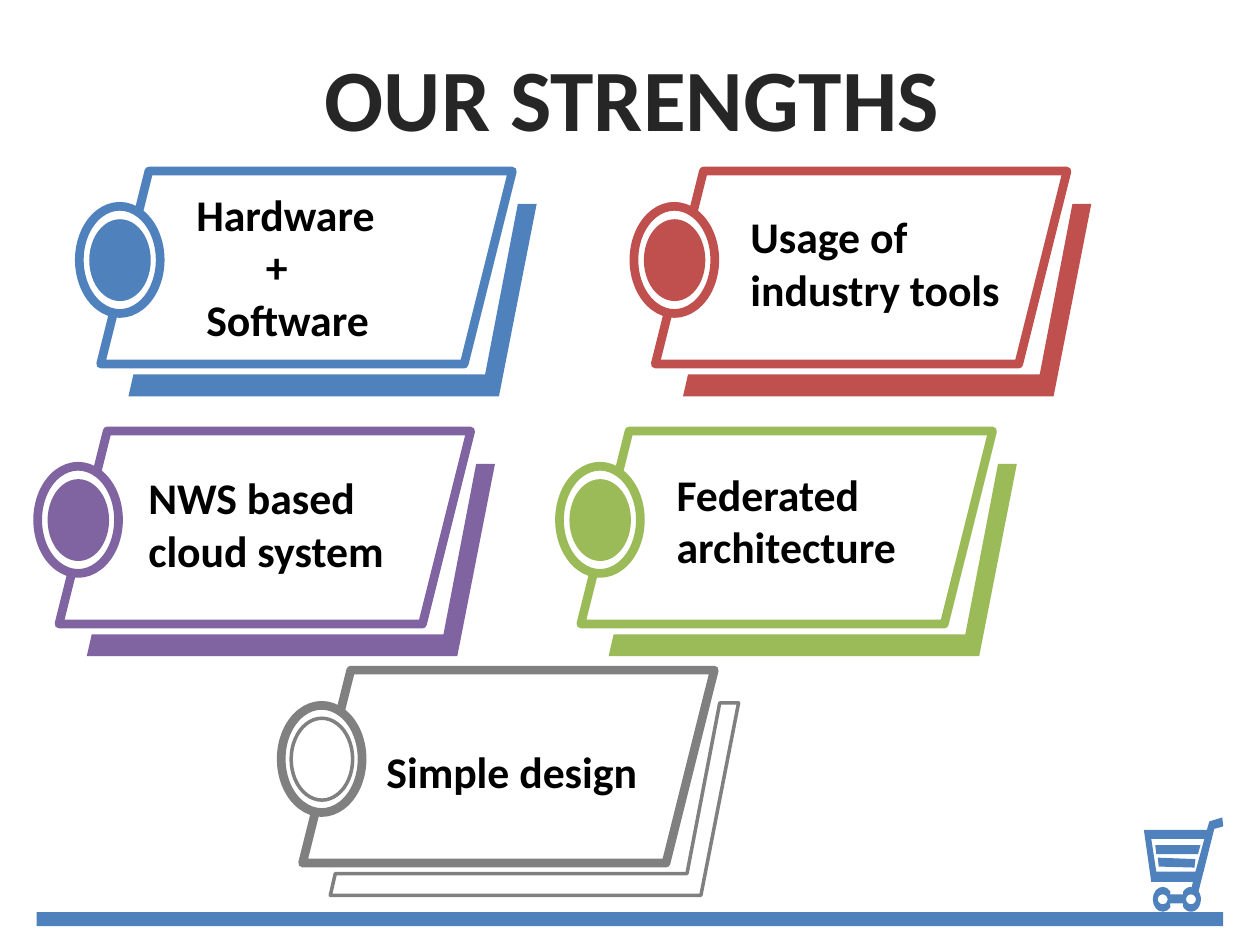
from math import cos, radians, sin

from pptx import Presentation
from pptx.dml.color import RGBColor
from pptx.enum import shapes, text
from pptx.util import Cm, Pt

BLUE = RGBColor(0x4F, 0x81, 0xBD)
RED = RGBColor(0xC0, 0x50, 0x4D)
PURPLE = RGBColor(0x80, 0x64, 0xA2)
GREEN = RGBColor(0x9B, 0xBB, 0x59)
GRAY = RGBColor(0x80, 0x80, 0x80)
WHITE = RGBColor(255, 255, 255)
BLACK = RGBColor(0, 0, 0)
DARK = RGBColor(0x26, 0x26, 0x26)

TITLE = "OUR STRENGTHS"
# card left and top, colour, filled accents, lines as (text, indent),
# text box left, top, width and height (all in cm)
CARDS = [
    (2.03, 3.45, BLUE, True, [("Hardware", 0), ("+", 1.4), ("Software", 0.2)],
     (3.71, 3.66, 5.05, 3.45)),
    (1.19, 8.69, PURPLE, True, [("NWS based cloud system", 0)],
     (2.74, 9.37, 5.87, 2.39)),
    (13.21, 3.45, RED, True, [("Usage of industry tools", 0)],
     (14.88, 4.11, 5.87, 2.39)),
    (11.71, 8.69, GREEN, True, [("Federated architecture", 0)],
     (13.39, 9.3, 5.87, 2.39)),
    (6.1, 13.51, GRAY, False, [("Simple design", 0)],
     (7.54, 14.88, 5.87, 1.32)),
]
CARD_SIZE = (8.3, 3.89)
RING = (-0.43, 0.71, 1.63, 2.16)    # offset from the card, then size
DISC = (-0.23, 0.97, 1.24, 1.65)
EDGE = [(8.41, 0.66), (8.79, 0.66), (8.03, 4.54), (0.56, 4.54),
        (0.66, 4.1), (7.75, 4.1)]


def arc(cx, cy, rx, ry, start, end, steps=12):
    """Points along an ellipse, angles in degrees, clockwise from the right."""
    angles = [radians(start + (end - start) * i / steps) for i in range(steps + 1)]
    return [(cx + rx * cos(a), cy + ry * sin(a)) for a in angles]


LEFT_HUB, RIGHT_HUB = (0.38, 1.65), (0.95, 1.65)
WHEEL, HOLE = (0.2, 0.25), (0.1, 0.1)
CART = [
    [(1.58, 0), (1.32, 0.08), (1.27, 0.25), (0, 0.25), (0.15, 1.3), (0.99, 1.3),
     (0.96, 1.42)]
    + arc(*RIGHT_HUB, *WHEEL, -90, -143) + [(0.79, 1.55), (0.53, 1.55)]
    + arc(*LEFT_HUB, *WHEEL, -40, -320) + [(0.53, 1.73), (0.79, 1.73)]
    + arc(*RIGHT_HUB, *WHEEL, 143, -40) + [(1.42, 0.23), (1.6, 0.18)],
    [(1.22, 0.43), (1.04, 1.09), (0.25, 1.09), (0.15, 0.43)],
    [(0.23, 0.56), (0.25, 0.74), (1.09, 0.74), (1.14, 0.56)],
    [(0.28, 0.81), (0.3, 0.99), (1.02, 1.01), (1.04, 0.84)],
    arc(*LEFT_HUB, *HOLE, 0, 360),
    arc(*RIGHT_HUB, *HOLE, 0, 360),
]


def paint(shape, fill, line=None, width=0):
    shape.shadow.inherit = False
    shape.fill.solid()
    shape.fill.fore_color.rgb = fill
    if line is None:
        shape.line.fill.background()
    else:
        shape.line.color.rgb = line
        shape.line.width = Pt(width)


def add_preset(slide, kind, left, top, width, height, *style):
    shape = slide.shapes.add_shape(kind, Cm(left), Cm(top), Cm(width), Cm(height))
    paint(shape, *style)


def add_outline(slide, left, top, contours, *style):
    """One freeform from closed contours given in cm from (left, top)."""
    placed = [[(Cm(left + x), Cm(top + y)) for x, y in points] for points in contours]
    builder = slide.shapes.build_freeform(*placed[0][0])
    builder.add_line_segments(placed[0][1:])
    for points in placed[1:]:
        builder.move_to(*points[0])
        builder.add_line_segments(points[1:])
    paint(builder.convert_to_shape(), *style)


def add_text(slide, area, lines, size, color, align, anchor):
    box = slide.shapes.add_textbox(*(Cm(v) for v in area))
    frame = box.text_frame
    frame.word_wrap = True
    frame.vertical_anchor = anchor
    for number, (words, indent) in enumerate(lines):
        para = frame.add_paragraph() if number else frame.paragraphs[0]
        para.text = words
        para.alignment = align
        para.font.name = "Calibri"
        para.font.size = Pt(size)
        para.font.bold = True
        para.font.color.rgb = color
        if indent:
            para._p.get_or_add_pPr().set("marL", str(Cm(indent)))
    return frame


def add_card(slide, left, top, color, filled, lines, area):
    accent = (color,) if filled else (WHITE, color, 2)
    oval = shapes.MSO_SHAPE.OVAL
    add_preset(slide, shapes.MSO_SHAPE.PARALLELOGRAM, left, top, *CARD_SIZE,
               WHITE, color, 5)
    add_outline(slide, left, top, [EDGE], *accent)
    add_text(slide, area, lines, 25, BLACK, text.PP_ALIGN.LEFT, text.MSO_ANCHOR.TOP)
    for (dx, dy, width, height), style in ((RING, (WHITE, color, 5)), (DISC, accent)):
        add_preset(slide, oval, left + dx, top + dy, width, height, *style)


def main():
    deck = Presentation()
    deck.slide_width, deck.slide_height = Cm(25.4), Cm(19.05)
    slide = deck.slides.add_slide(deck.slide_layouts[6])

    add_outline(slide, 23.06, 16.48, CART, BLUE)
    add_preset(slide, shapes.MSO_SHAPE.RECTANGLE, 0.74, 18.39, 23.92, 0.28, BLUE)
    title = add_text(slide, (0.69, 0.94, 24.1, 2.01), [(TITLE, 0)], 50, DARK,
                     text.PP_ALIGN.CENTER, text.MSO_ANCHOR.MIDDLE)
    title.paragraphs[0].space_before = Pt(5)
    for card in CARDS:
        add_card(slide, *card)

    deck.save("out.pptx")


if __name__ == "__main__":
    main()
